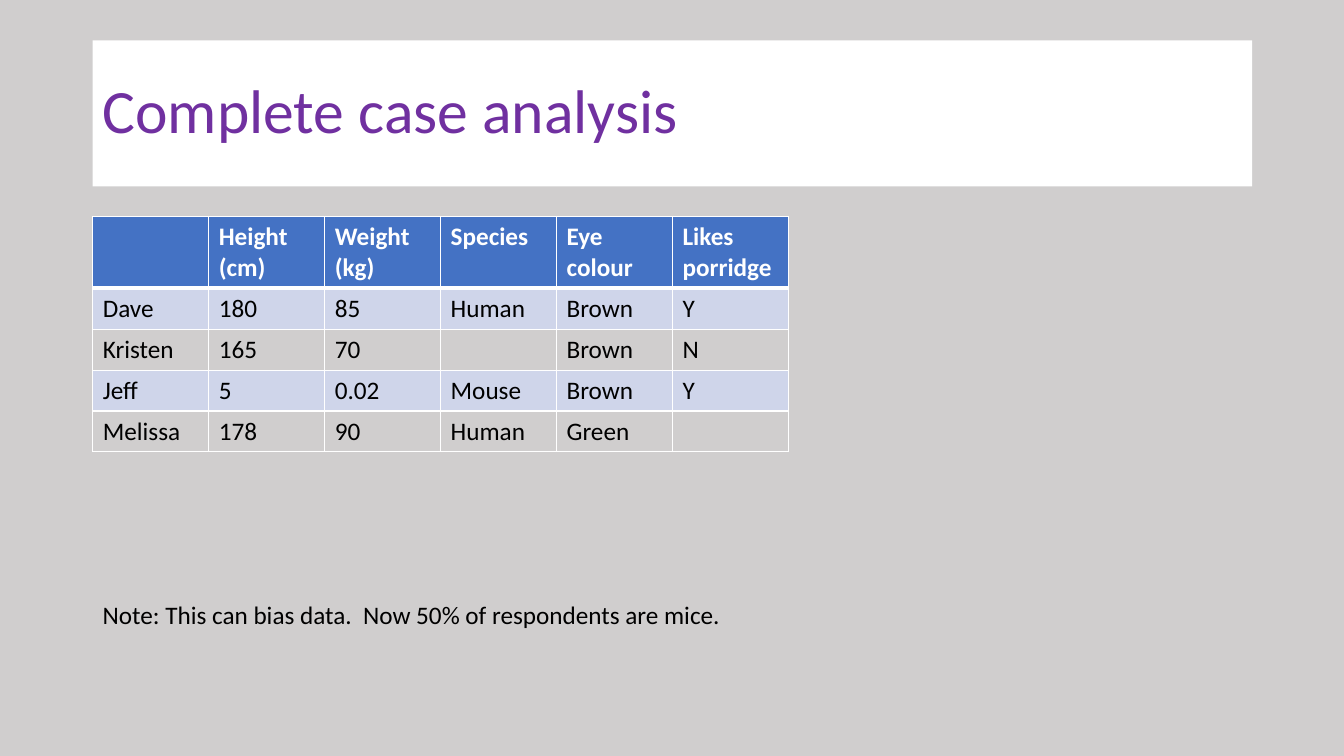
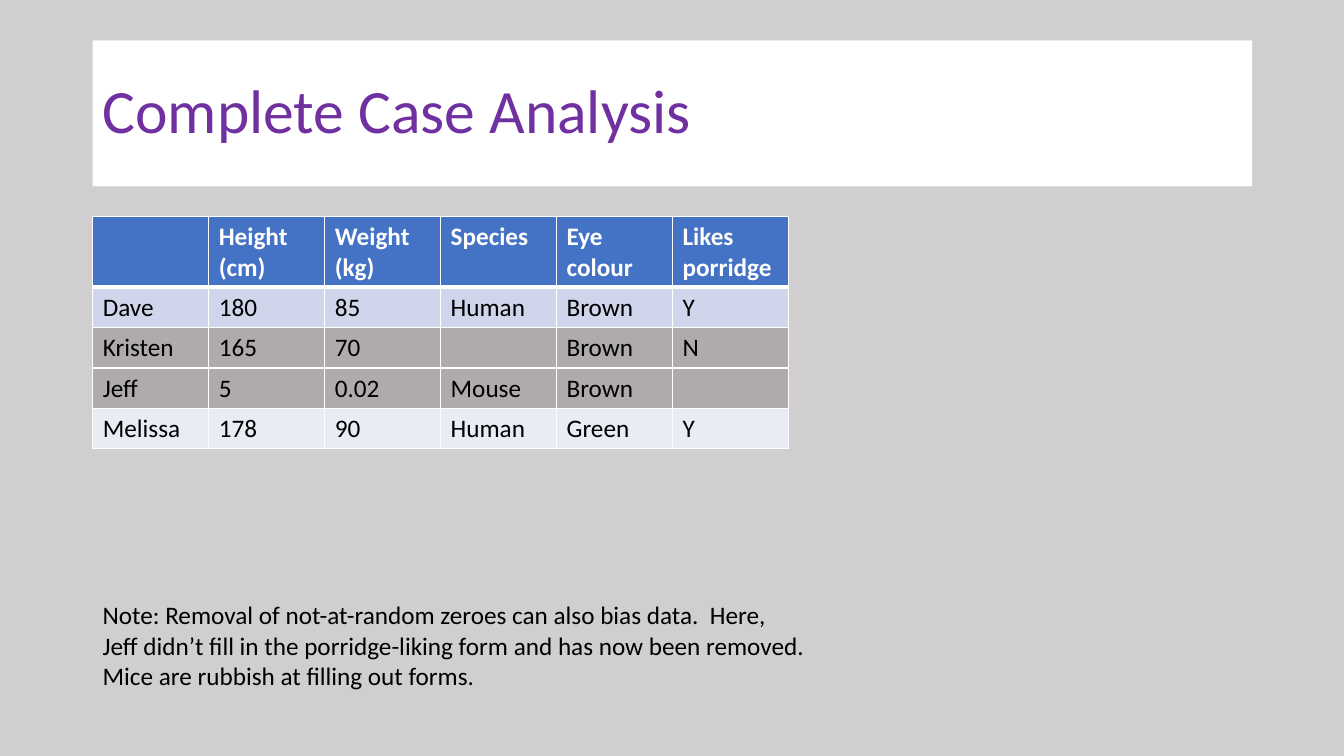
import dataclasses
import typing

import pptx
import pptx.dml.color
import pptx.enum.shapes
import pptx.enum.text
import pptx.oxml
import pptx.oxml.ns
import pptx.util

EMU_PER_PX = 9144


def px(length: int) -> pptx.util.Emu:
    return pptx.util.Emu(length * EMU_PER_PX)


@dataclasses.dataclass(frozen=True)
class Theme:
    font: str = "Calibri"
    background: str = "D0CECE"
    white: str = "FFFFFF"
    black: str = "000000"
    title: str = "7030A0"
    header: str = "4472C4"
    band: str = "CFD5EA"
    light_band: str = "E9EBF5"
    removed: str = "AFABAB"
    title_size: int = 44
    body_size: int = 18
    thin_line: int = 1
    thick_line: int = 3


THEME = Theme()


class Box(typing.NamedTuple):
    left: int
    top: int
    width: int
    height: int

    def place(self) -> tuple[pptx.util.Emu, ...]:
        return tuple(px(length) for length in self)


class Row(typing.NamedTuple):
    fill: str
    values: tuple[str, ...]


@dataclasses.dataclass(frozen=True)
class Page:
    title: str
    rows: tuple[Row, ...]
    note: tuple[str, ...]
    note_box: Box
    note_wraps: bool


SLIDE_WIDTH, SLIDE_HEIGHT = 1333, 750
TITLE_BOX = Box(92, 40, 1150, 145)
TABLE_LEFT, TABLE_TOP = 92, 215
COLUMN_WIDTH, HEADER_HEIGHT, ROW_HEIGHT = 115, 70, 40
HEADINGS = ("", "Height (cm)", "Weight (kg)", "Species", "Eye colour", "Likes porridge")

PAGES = (
    Page(
        title="Complete case analysis",
        rows=(
            Row(THEME.band, ("Dave", "180", "85", "Human", "Brown", "Y")),
            Row(THEME.background, ("Kristen", "165", "70", "", "Brown", "N")),
            Row(THEME.band, ("Jeff", "5", "0.02", "Mouse", "Brown", "Y")),
            Row(THEME.background, ("Melissa", "178", "90", "Human", "Green", "")),
        ),
        note=("Note: This can bias data.  Now 50% of respondents are mice.",),
        note_box=Box(92, 590, 640, 40),
        note_wraps=False,
    ),
    Page(
        title="Complete Case Analysis",
        rows=(
            Row(THEME.band, ("Dave", "180", "85", "Human", "Brown", "Y")),
            Row(THEME.removed, ("Kristen", "165", "70", "", "Brown", "N")),
            Row(THEME.removed, ("Jeff", "5", "0.02", "Mouse", "Brown", "")),
            Row(THEME.light_band, ("Melissa", "178", "90", "Human", "Green", "Y")),
        ),
        note=(
            "Note: Removal of not-at-random zeroes can also bias data.  Here,",
            "Jeff didn’t fill in the porridge-liking form and has now been removed.  "
            "Mice are rubbish at filling out forms.",
        ),
        note_box=Box(92, 590, 724, 101),
        note_wraps=True,
    ),
)


def rgb(colour: str) -> pptx.dml.color.RGBColor:
    return pptx.dml.color.RGBColor.from_string(colour)


def write_text(
    frame: pptx.text.text.TextFrame,
    *lines: str,
    size: int = THEME.body_size,
    colour: str = THEME.black,
    bold: bool = False,
    line_spacing: float | None = None,
) -> None:
    for index, line in enumerate(lines):
        para = frame.add_paragraph() if index else frame.paragraphs[0]
        para.alignment = pptx.enum.text.PP_ALIGN.LEFT
        para.line_spacing = line_spacing
        para.font.size = pptx.util.Pt(size)
        if line:
            span = para.add_run()
            span.text = line
            span.font.name = THEME.font
            span.font.size = pptx.util.Pt(size)
            span.font.bold = bold
            span.font.color.rgb = rgb(colour)


def add_title(slide: pptx.slide.Slide, title: str) -> None:
    band = slide.shapes.add_shape(
        pptx.enum.shapes.MSO_SHAPE.RECTANGLE, *TITLE_BOX.place()
    )
    band.shadow.inherit = False
    band.fill.solid()
    band.fill.fore_color.rgb = rgb(THEME.white)
    band.line.fill.background()
    band.text_frame.word_wrap = True
    band.text_frame.vertical_anchor = pptx.enum.text.MSO_ANCHOR.MIDDLE
    write_text(
        band.text_frame,
        title,
        size=THEME.title_size,
        colour=THEME.title,
        line_spacing=0.9,
    )


def add_borders(cell: pptx.table._Cell, top: int, bottom: int) -> None:
    properties = cell._tc.get_or_add_tcPr()
    sides = {"L": THEME.thin_line, "R": THEME.thin_line, "T": top, "B": bottom}
    for side, points in sides.items():
        properties.append(
            pptx.oxml.parse_xml(
                f'<a:ln{side} {pptx.oxml.ns.nsdecls("a")} w="{pptx.util.Pt(points)}">'
                f'<a:solidFill><a:srgbClr val="{THEME.white}"/></a:solidFill>'
                f"</a:ln{side}>"
            )
        )


def add_table(slide: pptx.slide.Slide, body: tuple[Row, ...]) -> None:
    rows = (Row(THEME.header, HEADINGS), *body)
    box = Box(
        TABLE_LEFT,
        TABLE_TOP,
        COLUMN_WIDTH * len(HEADINGS),
        HEADER_HEIGHT + ROW_HEIGHT * len(body),
    )
    table = slide.shapes.add_table(len(rows), len(HEADINGS), *box.place()).table
    for column in table.columns:
        column.width = px(COLUMN_WIDTH)
    for row_index, row in enumerate(rows):
        is_header = row_index == 0
        table.rows[row_index].height = px(HEADER_HEIGHT if is_header else ROW_HEIGHT)
        for column_index, value in enumerate(row.values):
            cell = table.cell(row_index, column_index)
            add_borders(
                cell,
                top=THEME.thick_line if row_index == 1 else THEME.thin_line,
                bottom=THEME.thick_line if is_header else THEME.thin_line,
            )
            cell.fill.solid()
            cell.fill.fore_color.rgb = rgb(row.fill)
            write_text(
                cell.text_frame,
                value,
                colour=THEME.white if is_header else THEME.black,
                bold=is_header,
            )


def add_note(slide: pptx.slide.Slide, page: Page) -> None:
    frame = slide.shapes.add_textbox(*page.note_box.place()).text_frame
    frame.word_wrap = page.note_wraps
    frame.auto_size = pptx.enum.text.MSO_AUTO_SIZE.SHAPE_TO_FIT_TEXT
    write_text(frame, *page.note)


def main() -> None:
    deck = pptx.Presentation()
    deck.slide_width = px(SLIDE_WIDTH)
    deck.slide_height = px(SLIDE_HEIGHT)
    background = deck.slide_master.background.fill
    background.solid()
    background.fore_color.rgb = rgb(THEME.background)
    for page in PAGES:
        slide = deck.slides.add_slide(deck.slide_layouts[6])
        add_title(slide, page.title)
        add_table(slide, page.rows)
        add_note(slide, page)
    deck.save("out.pptx")


if __name__ == "__main__":
    main()
